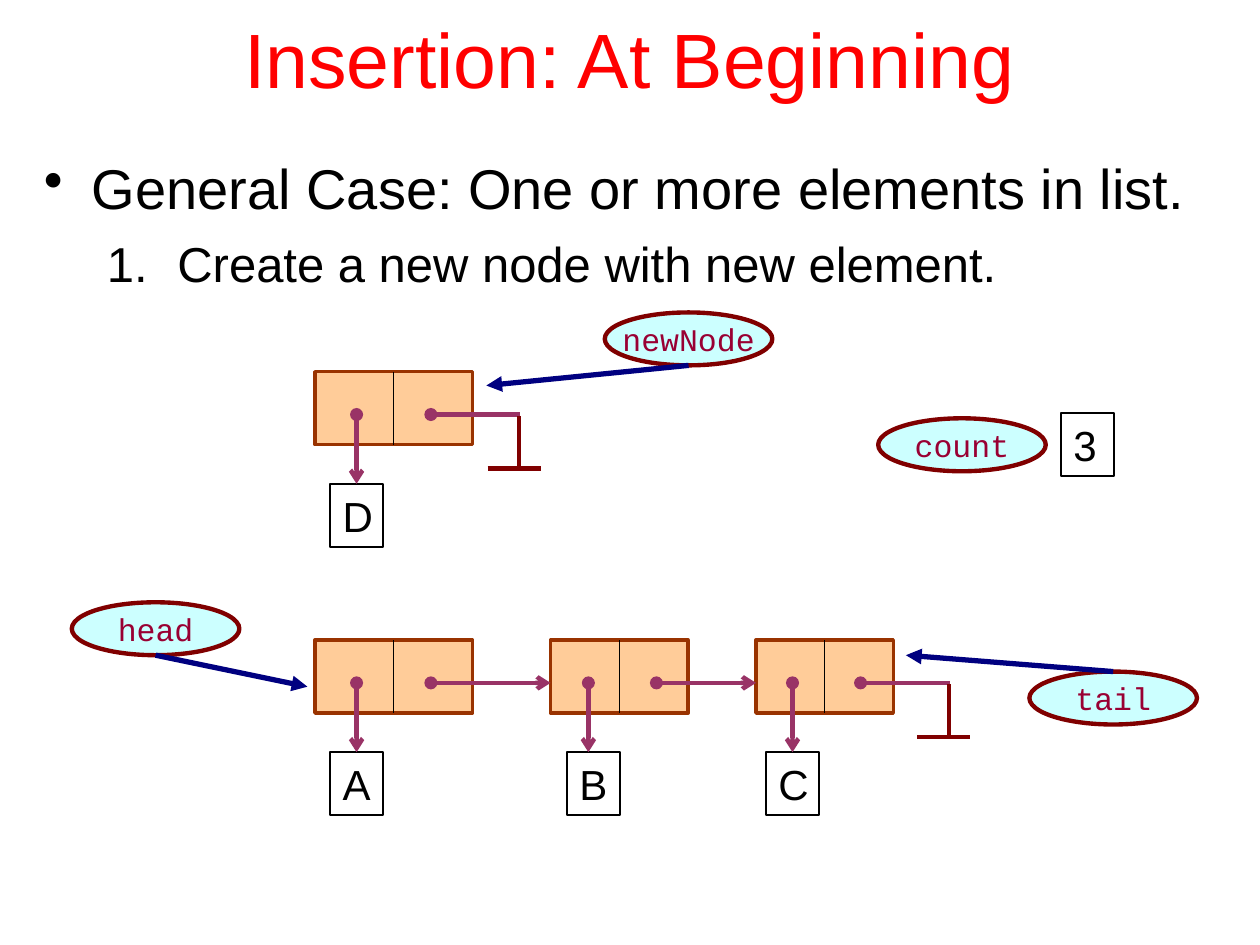
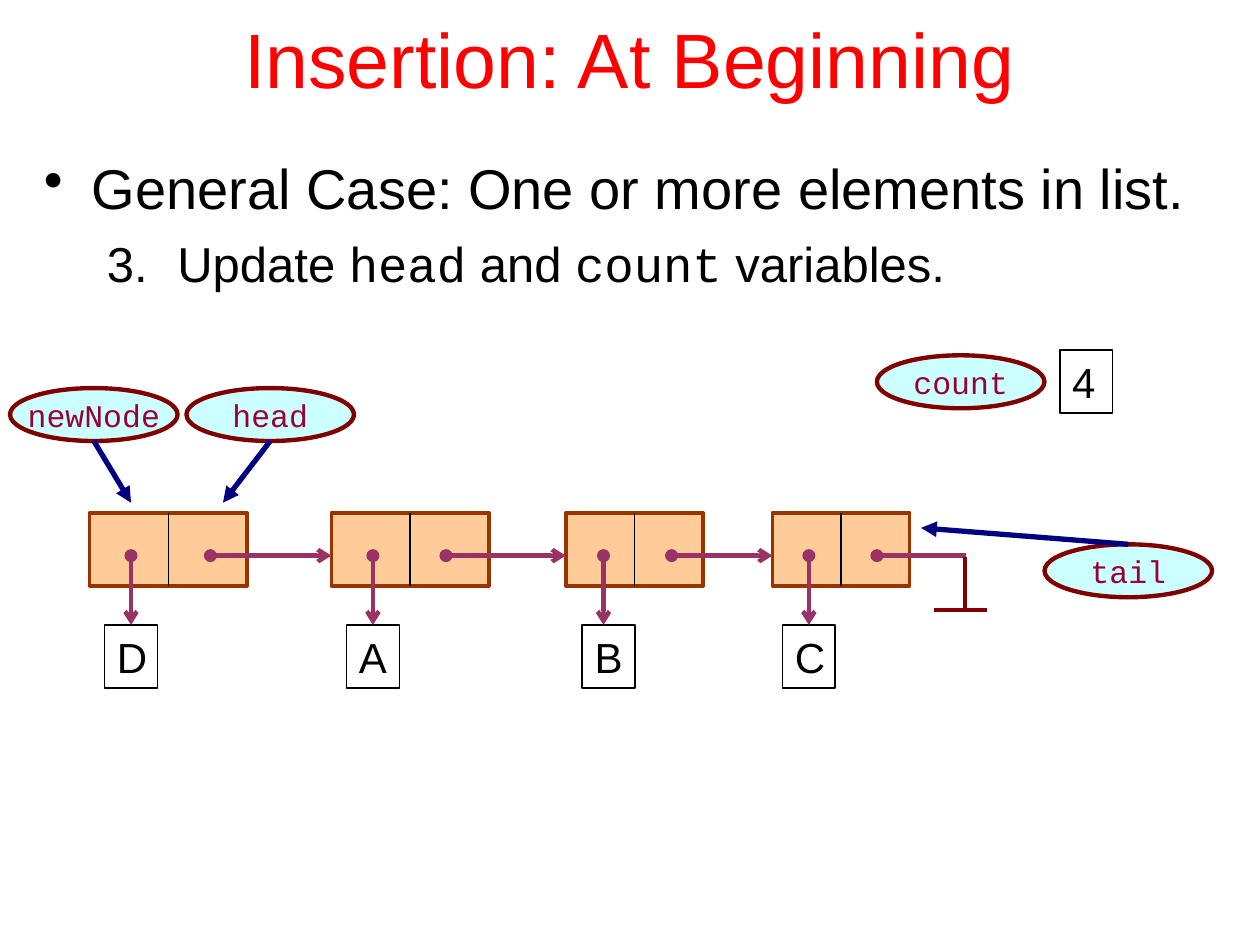
from lxml import etree
from pptx import Presentation
from pptx.dml.color import RGBColor
from pptx.enum.shapes import MSO_CONNECTOR, MSO_SHAPE
from pptx.enum.text import MSO_ANCHOR, PP_ALIGN
from pptx.oxml.ns import qn
from pptx.util import Inches, Pt

STRAIGHT = MSO_CONNECTOR.STRAIGHT
RECT, OVAL = MSO_SHAPE.RECTANGLE, MSO_SHAPE.OVAL
TOP, MIDDLE = MSO_ANCHOR.TOP, MSO_ANCHOR.MIDDLE
LEFT, CENTER = PP_ALIGN.LEFT, PP_ALIGN.CENTER

SANS, MONO = "Arial", "Courier New"
COLORS = {
    "title": "FF0000", "text": "000000", "label": "990033",
    "node": "FFCC99", "edge": "993300", "link": "993366",
    "oval": "CCFFFF", "rim": "800000", "arrow": "000080",
}

TITLE = "Insertion: At Beginning"
LEAD = "General Case: One or more elements in list."

# letter: node width, value box offset, value dot offset
NODES = {
    "A": (1.25, 0.12, 0.33),
    "B": (1.09, 0.13, 0.30),
    "C": (1.09, 0.08, 0.29),
    "D": (1.25, 0.12, 0.33),
}
NODE_H, DOT_Y, BOX_Y = 0.58, 0.34, 0.89
BOX_W, BOX_H = 0.42, 0.50
OVAL_W, OVAL_H = 1.33, 0.42

SLIDES = [
    {
        "step": (1, [("Create a new node with new element.", SANS)]),
        "rows": [
            (2.95, [("D", 2.50, 0.92)]),
            (5.08, [("A", 2.50, 0.92), ("B", 4.37, 0.84), ("C", 6.00, 0.83)]),
        ],
        "names": [
            ("head", 0.57, 4.78, (2.44, 5.45)),
            ("tail", 8.17, 5.33, (7.19, 5.20)),
            ("newNode", 4.80, 2.48, (3.86, 3.06)),
        ],
        "count": ("3", 6.97, 3.32),
    },
    {
        "step": (3, [("Update ", SANS), ("head", MONO), (" and ", SANS),
                     ("count", MONO), (" variables.", SANS)]),
        "rows": [
            (4.07, [("D", 0.71, 0.96), ("A", 2.63, 0.91),
                    ("B", 4.49, 0.84), ("C", 6.13, 0.83)]),
        ],
        "names": [
            ("head", 1.48, 3.08, (1.77, 3.99)),
            ("tail", 8.29, 4.32, (7.31, 4.19)),
            ("newNode", 0.08, 3.08, (1.04, 3.99)),
        ],
        "count": ("4", 6.96, 2.82),
    },
]


def color(name):
    return RGBColor.from_string(COLORS[name])


def add_run(para, text, size, font, tint):
    run = para.add_run()
    run.text = text
    run.font.size = Pt(size)
    run.font.name = font
    run.font.color.rgb = color(tint)


def set_frame(shape, anchor, wrap=True):
    frame = shape.text_frame
    frame.word_wrap = wrap
    frame.vertical_anchor = anchor
    return frame


def add_text(slide, x, y, w, h, anchor):
    box = slide.shapes.add_textbox(Inches(x), Inches(y), Inches(w), Inches(h))
    return set_frame(box, anchor)


def add_form(slide, kind, x, y, w, h, fill, line, width):
    form = slide.shapes.add_shape(kind, Inches(x), Inches(y), Inches(w), Inches(h))
    form.shadow.inherit = False
    if fill:
        form.fill.solid()
        form.fill.fore_color.rgb = color(fill)
    else:
        form.fill.background()
    form.line.color.rgb = color(line)
    form.line.width = Pt(width)
    return form


def add_line(slide, start, end, tint, width, head=None, tail=None):
    line = slide.shapes.add_connector(
        STRAIGHT, *[Inches(v) for v in (*start, *end)])
    line.line.color.rgb = color(tint)
    line.line.width = Pt(width)
    for tag, kind in (("a:headEnd", head), ("a:tailEnd", tail)):
        if kind:
            etree.SubElement(line.line._get_or_add_ln(), qn(tag), type=kind)
    etree.SubElement(line._element.spPr, qn("a:effectLst"))
    return line


def add_box(slide, text, x, y):
    box = add_form(slide, RECT, x, y, BOX_W, BOX_H, None, "text", 1)
    para = set_frame(box, TOP).paragraphs[0]
    para.alignment = LEFT
    add_run(para, text, 24, SANS, "text")
    return box


def add_name(slide, text, x, y, tip=None):
    form = add_form(slide, OVAL, x, y, OVAL_W, OVAL_H, "oval", "rim", 2.5)
    para = set_frame(form, MIDDLE, False).paragraphs[0]
    para.alignment = CENTER
    add_run(para, text, 18, MONO, "label")
    if tip:
        edge = y + OVAL_H if tip[1] > y + OVAL_H else y
        add_line(slide, (x + OVAL_W / 2, edge), tip, "arrow", 3, tail="triangle")


def add_null(slide, x, y):
    add_line(slide, (x, y), (x + 0.71, y), "link", 2.5, head="oval")
    add_line(slide, (x + 0.70, y + 0.01), (x + 0.70, y + 0.43), "rim", 2.5)
    add_line(slide, (x + 0.45, y + 0.43), (x + 0.87, y + 0.43), "rim", 2.5)


def add_node(slide, text, x, y):
    width, shift, dot = NODES[text]
    mid = x + width / 2
    add_form(slide, RECT, x, y, width, NODE_H, "node", "edge", 2)
    add_line(slide, (mid, y), (mid, y + NODE_H), "text", 0.75)
    box = add_box(slide, text, x + shift, y + BOX_Y)
    drop = add_line(slide, (x + dot, y + DOT_Y), (x + dot, y + BOX_Y),
                    "link", 2.5, "oval", "arrow")
    if abs(dot - shift - BOX_W / 2) < 0.01:
        drop.end_connect(box, 0)


def add_row(slide, top, nodes):
    for text, x, _ in nodes:
        add_node(slide, text, x, top)
    y = top + DOT_Y
    for (_, x, link), (_, goal, _) in zip(nodes, nodes[1:]):
        add_line(slide, (x + link, y), (goal, y), "link", 2.5, "oval", "arrow")
    _, x, link = nodes[-1]
    add_null(slide, x + link, y)


def add_mark(para, left, hang, tag, **attrs):
    props = para._p.get_or_add_pPr()
    props.set("marL", str(Inches(left)))
    props.set("indent", str(-Inches(hang)))
    etree.SubElement(props, qn(tag), **attrs)


def add_heads(slide, step):
    para = add_text(slide, 0.75, 0, 8.5, 0.91, MIDDLE).paragraphs[0]
    para.alignment = CENTER
    add_run(para, TITLE, 44, SANS, "title")

    frame = add_text(slide, 0.25, 1.17, 9.5, 1.23, TOP)
    lead = frame.paragraphs[0]
    add_mark(lead, 0.38, 0.38, "a:buChar", char="•")
    add_run(lead, LEAD, 32, SANS, "text")

    start, runs = step
    para = frame.add_paragraph()
    add_mark(para, 1.06, 0.56, "a:buAutoNum", type="arabicPeriod", startAt=str(start))
    para.space_before = Pt(7)
    for text, font in runs:
        add_run(para, text, 28, font, "text")


def main():
    deck = Presentation()
    deck.slide_width, deck.slide_height = Inches(10), Inches(7.5)
    for data in SLIDES:
        slide = deck.slides.add_slide(deck.slide_layouts[6])
        add_heads(slide, data["step"])
        for top, nodes in data["rows"]:
            add_row(slide, top, nodes)
        for name in data["names"]:
            add_name(slide, *name)
        total, x, y = data["count"]
        add_name(slide, "count", x, y)
        add_box(slide, total, x + 1.45, y - 0.04)
    deck.save("out.pptx")


if __name__ == "__main__":
    main()
